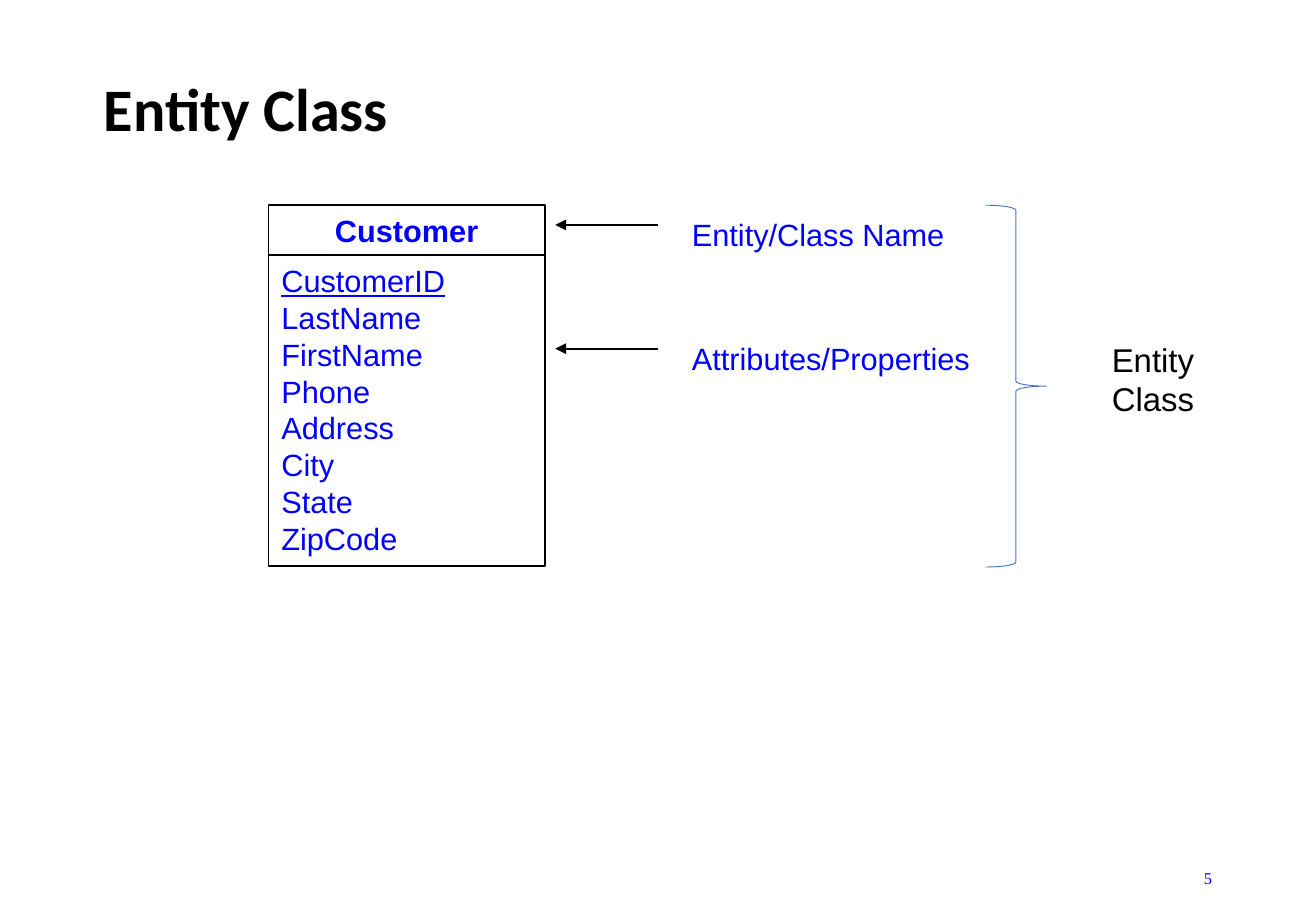
from dataclasses import dataclass

from lxml import etree
from pptx import Presentation
from pptx.dml.color import RGBColor
from pptx.enum.shapes import MSO_CONNECTOR, MSO_SHAPE
from pptx.enum.text import MSO_ANCHOR, MSO_AUTO_SIZE, PP_ALIGN
from pptx.oxml.ns import qn
from pptx.util import Pt

PX = 9144  # EMU per px, 100 px to the inch


@dataclass(frozen=True)
class Theme:
    ink: RGBColor = RGBColor(0x00, 0x00, 0x00)
    label: RGBColor = RGBColor(0x00, 0x00, 0xFF)
    brace: RGBColor = RGBColor(0x44, 0x72, 0xC4)
    title_size: float = 33
    caption_size: float = 18
    label_size: float = 16.8
    number_size: float = 9
    outline: float = 1
    brace_line: float = 0.5


class Diagram:
    def __init__(self, slide, theme):
        self.slide = slide
        self.theme = theme

    def set_text(self, shape, lines, align=PP_ALIGN.LEFT, anchor=MSO_ANCHOR.TOP,
                 wrap=True, grow=True, **font):
        """Fill a shape with one paragraph per line, all in one font format."""
        theme = self.theme
        font_format = {"name": "Arial", "size": theme.label_size,
                       "color": theme.label} | font
        color = font_format.pop("color")
        font_format["size"] = Pt(font_format["size"])
        frame = shape.text_frame
        frame.text = "\n".join(lines)
        frame.word_wrap = wrap
        frame.vertical_anchor = anchor
        frame.auto_size = (MSO_AUTO_SIZE.SHAPE_TO_FIT_TEXT if grow
                           else MSO_AUTO_SIZE.NONE)
        for paragraph in frame.paragraphs:
            paragraph.alignment = align
            for run in paragraph.runs:
                for key, value in font_format.items():
                    setattr(run.font, key, value)
                run.font.color.rgb = color
        return frame

    def title(self, box, text):
        heading = self.slide.shapes.title
        for side, length in zip(("left", "top", "width", "height"), box):
            setattr(heading, side, length * PX)
        frame = self.set_text(heading, [text], anchor=MSO_ANCHOR.MIDDLE, grow=False,
                              name="Calibri", size=self.theme.title_size,
                              color=self.theme.ink, bold=True)
        frame.paragraphs[0].line_spacing = 0.9

    def text(self, box, line, **text_format):
        holder = self.slide.shapes.add_textbox(*(length * PX for length in box))
        self.set_text(holder, [line], **text_format)

    def outline(self, kind, box, color, weight):
        shape = self.slide.shapes.add_shape(kind, *(length * PX for length in box))
        shape.shadow.inherit = False
        shape.fill.background()
        shape.line.color.rgb = color
        shape.line.width = Pt(weight)
        return shape

    def compartment(self, box, lines, **text_format):
        shape = self.outline(MSO_SHAPE.RECTANGLE, box,
                             self.theme.ink, self.theme.outline)
        return self.set_text(shape, lines, **text_format)

    def brace(self, box):
        self.outline(MSO_SHAPE.RIGHT_BRACE, box,
                     self.theme.brace, self.theme.brace_line)

    def arrow(self, start, end, y):
        pointer = self.slide.shapes.add_connector(
            MSO_CONNECTOR.STRAIGHT, start * PX, y * PX, end * PX, y * PX)
        pointer.line.color.rgb = self.theme.ink
        pointer.line.width = Pt(self.theme.outline)
        properties = pointer._element.spPr
        etree.SubElement(properties.get_or_add_ln(), qn("a:tailEnd"),
                         type="triangle")
        etree.SubElement(properties, qn("a:effectLst"))


def main():
    deck = Presentation()
    deck.slide_width, deck.slide_height = 1000 * PX, 700 * PX
    theme = Theme()
    diagram = Diagram(deck.slides.add_slide(deck.slide_layouts[5]), theme)

    diagram.title((69, 37, 862, 96), "Entity Class")
    diagram.text((706, 649, 225, 37), "5", align=PP_ALIGN.RIGHT, grow=False,
                 anchor=MSO_ANCHOR.MIDDLE, name="Times New Roman",
                 size=theme.number_size)

    diagram.compartment((204, 156, 210, 38), ["Customer"],
                        align=PP_ALIGN.CENTER, bold=True)
    attributes = diagram.compartment(
        (204, 194, 210, 236),
        ["CustomerID", "LastName", "FirstName", "Phone",
         "Address", "City", "State", "ZipCode"])
    attributes.paragraphs[0].runs[0].font.underline = True

    for label, top, width in (("Entity/Class Name", 159, 214),
                              ("Attributes/Properties", 253, 234)):
        diagram.text((516, top, width, 38), label, wrap=False)
        diagram.arrow(500, 422, top + 12)

    diagram.brace((749, 156, 46, 275))
    diagram.text((835, 253, 128, 71), "Entity Class",
                 size=theme.caption_size, color=theme.ink)
    deck.save("out.pptx")


if __name__ == "__main__":
    main()
